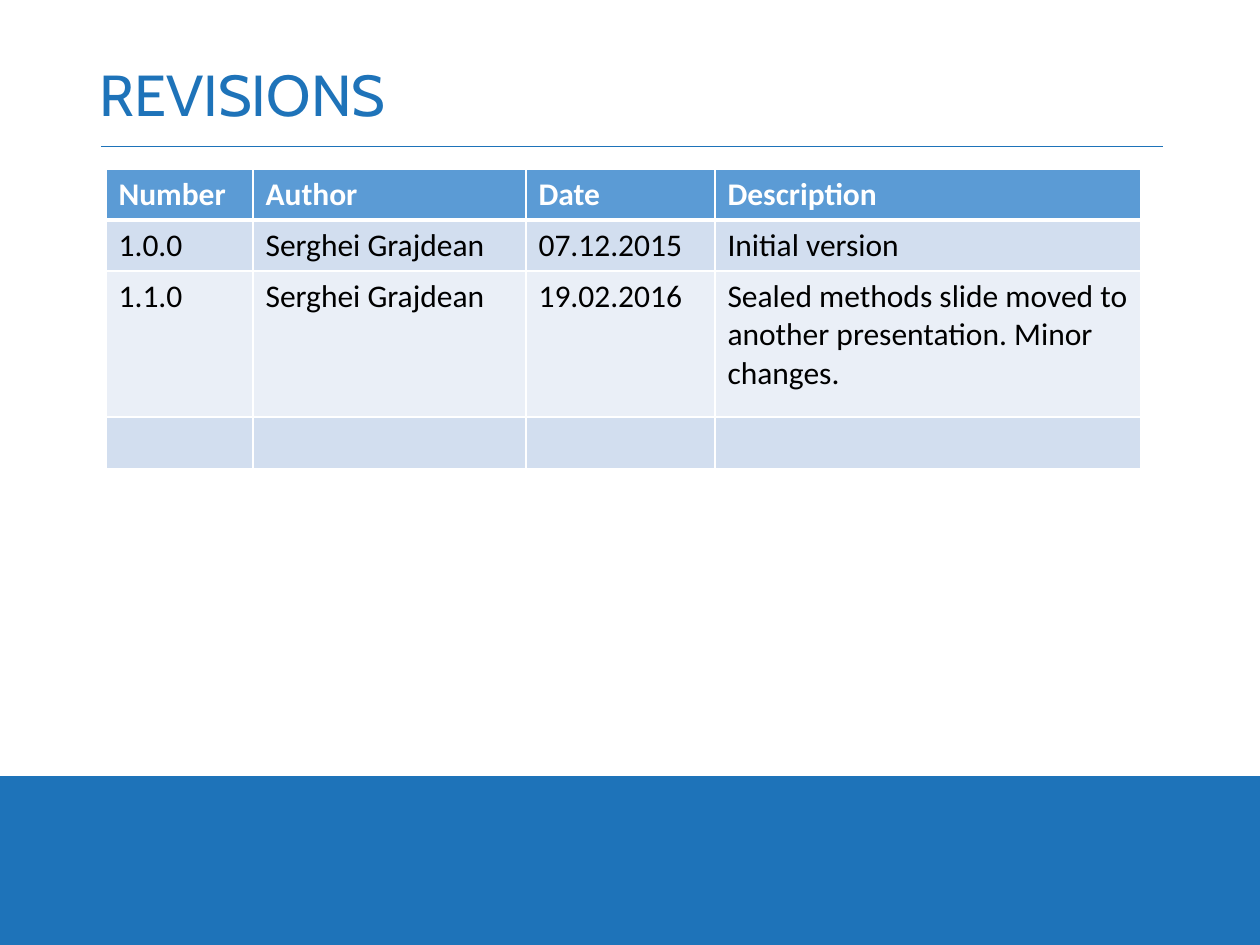
from lxml.etree import SubElement
from pptx import Presentation
from pptx.dml.color import RGBColor
from pptx.enum.shapes import MSO_CONNECTOR, MSO_SHAPE
from pptx.enum.text import MSO_ANCHOR, PP_ALIGN
from pptx.oxml.ns import qn
from pptx.util import Emu, Pt

SCALE = 914400 // 126
COLORS = {
    "brand": "1E73B9",
    "paper": "FFFFFF",
    "ink": "000000",
    "header": "5B9BD5",
    "band_dark": "D2DEEF",
    "band_light": "EAEFF7",
}
COLUMN_WIDTHS = (147, 273, 189, 426)
ROW_HEIGHTS = (48, 48, 146, 48)
REVISIONS = (
    ("Number", "Author", "Date", "Description"),
    ("1.0.0", "Serghei Grajdean", "07.12.2015", "Initial version"),
    ("1.1.0", "Serghei Grajdean", "19.02.2016",
     "Sealed methods slide moved to another presentation. Minor changes."),
    ("", "", "", ""),
)


def px(length):
    """Turn pixels into EMU."""
    return Emu(length * SCALE)


def rgb(name):
    """Look up a named colour."""
    return RGBColor.from_string(COLORS[name])


class SlideBuilder:
    """Hold the style and the current slide."""

    heading_font, body_font = "Cabin", "Calibri"

    def __init__(self, deck):
        """Add a title-only slide with a coloured background."""
        self.slide = deck.slides.add_slide(deck.slide_layouts[5])
        background = self.slide.background.fill
        background.solid()
        background.fore_color.rgb = rgb("brand")

    def add_run(self, paragraph, text, font, size, color, bold=False):
        """Append one formatted run."""
        run = paragraph.add_run()
        run.text = text
        run.font.name, run.font.size, run.font.bold = font, Pt(size), bold
        run.font.color.rgb = rgb(color)

    def panel(self, left, top, width, height, color):
        """Draw a plain rectangle behind the other content."""
        panel = self.slide.shapes.add_shape(
            MSO_SHAPE.RECTANGLE, px(left), px(top), px(width), px(height))
        panel.shadow.inherit = False
        panel.fill.solid()
        panel.fill.fore_color.rgb = rgb(color)
        panel.line.fill.background()
        tree = self.slide.shapes._spTree
        tree.remove(panel._element)
        tree.insert(2, panel._element)

    def title(self, text, left, top, width, height):
        """Place and fill the title."""
        title = self.slide.shapes.title
        title.left, title.top = px(left), px(top)
        title.width, title.height = px(width), px(height)
        title.text_frame.vertical_anchor = MSO_ANCHOR.MIDDLE
        paragraph = title.text_frame.paragraphs[0]
        paragraph.alignment = PP_ALIGN.LEFT
        paragraph.line_spacing = 0.9
        self.add_run(paragraph, text, self.heading_font, 33, "brand")

    def rule(self, left, right, y, color, weight):
        """Draw a horizontal line."""
        rule = self.slide.shapes.add_connector(
            MSO_CONNECTOR.STRAIGHT, px(left), px(y), px(right), px(y))
        rule.line.color.rgb = rgb(color)
        rule.line.width = Pt(weight)
        SubElement(rule._element.spPr, qn("a:effectLst"))

    def borders(self, cell, color, weights):
        """Set the left, right, top and bottom borders of a cell."""
        properties = cell._tc.get_or_add_tcPr()
        for index, (side, weight) in enumerate(zip("LRTB", weights)):
            line = properties.makeelement(qn(f"a:ln{side}"), {"w": str(Pt(weight))})
            fill = SubElement(line, qn("a:solidFill"))
            SubElement(fill, qn("a:srgbClr"), val=COLORS[color])
            properties.insert(index, line)

    def table(self, left, top, widths, heights, rows):
        """Add a table with a header row and banded body rows."""
        table = self.slide.shapes.add_table(
            len(rows), len(widths), px(left), px(top),
            px(sum(widths)), px(sum(heights))).table
        for column, width in zip(table.columns, widths):
            column.width = px(width)
        for index, (row, height, texts) in enumerate(zip(table.rows, heights, rows)):
            row.height = px(height)
            header = index == 0
            band = "band_dark" if index % 2 else "band_light"
            for cell, text in zip(row.cells, texts):
                cell.fill.solid()
                cell.fill.fore_color.rgb = rgb("header" if header else band)
                self.borders(cell, "paper",
                             (1, 1, 3 if index == 1 else 1, 3 if header else 1))
                if text:
                    self.add_run(cell.text_frame.paragraphs[0], text, self.body_font,
                                 18, "paper" if header else "ink", header)


def main():
    """Build and save the revisions slide."""
    deck = Presentation()
    deck.slide_width, deck.slide_height = px(1260), px(945)
    builder = SlideBuilder(deck)
    builder.panel(0, 0, 1260, 776, "paper")
    builder.title("REVISIONS", 87, 50, 1086, 96)
    builder.rule(101, 1163, 146, "brand", 0.5)
    builder.table(106, 169, COLUMN_WIDTHS, ROW_HEIGHTS, REVISIONS)
    deck.save("out.pptx")


main()
